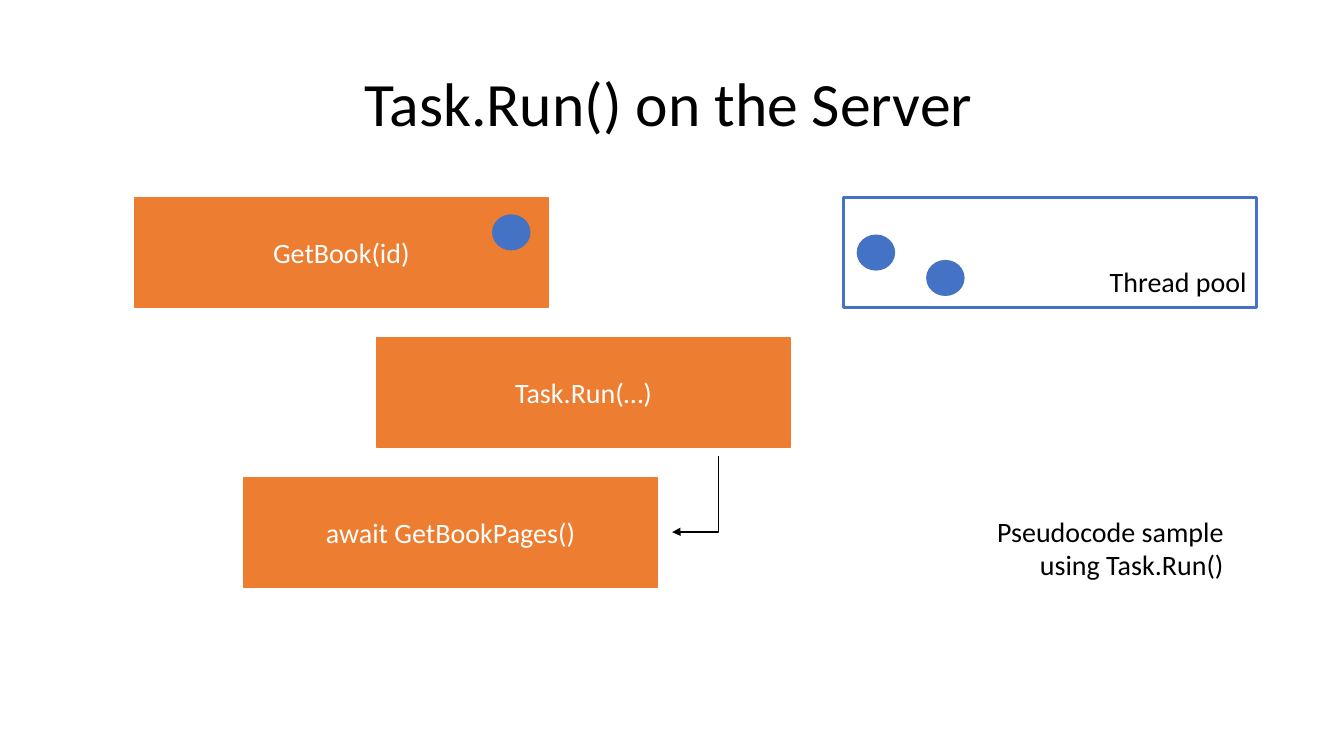
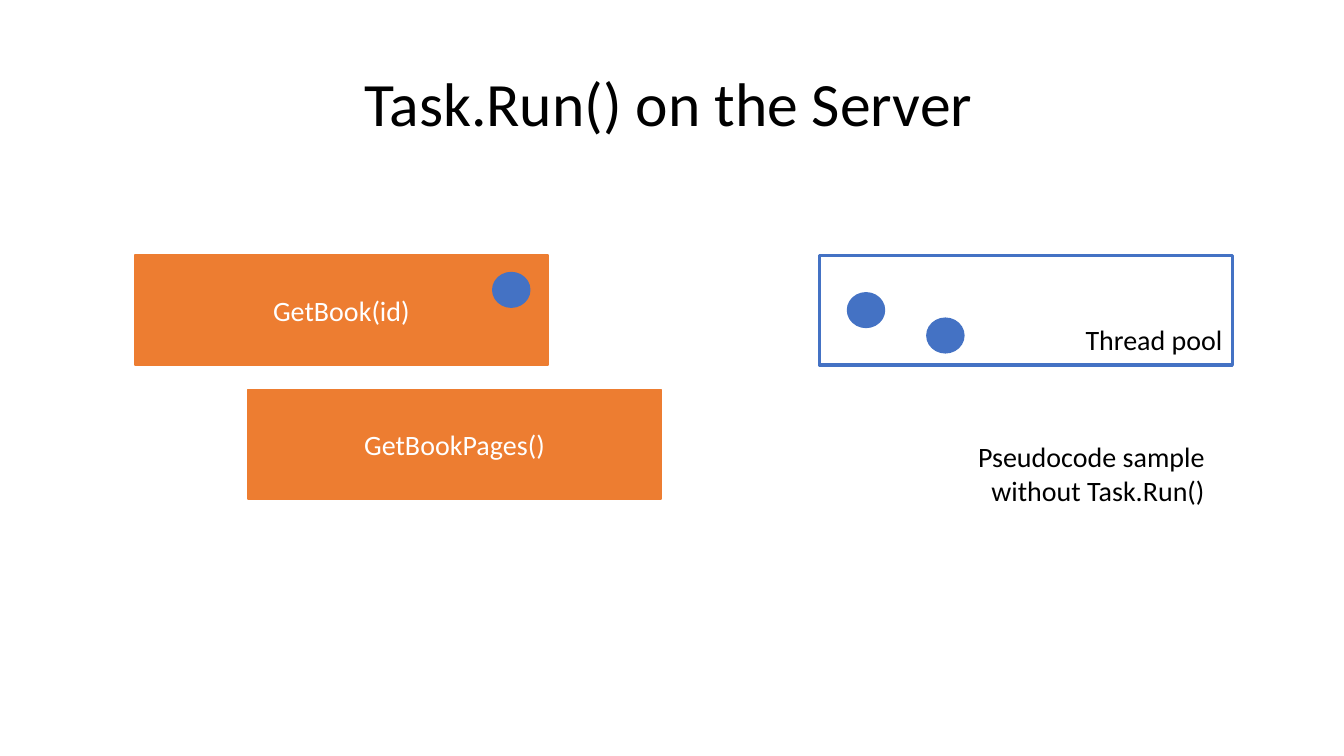
from dataclasses import dataclass

from lxml import etree
from pptx import Presentation
from pptx import util as u
from pptx.dml.color import RGBColor
from pptx.enum import shapes, text
from pptx.oxml.ns import qn

INK = {"call": "ED7D31", "thread": "4472C4", "text": "000000", "paper": "FFFFFF"}
FONT = "Calibri"
TITLE = "Task.Run() on the Server"
BOX = (10.41, 2.77)
DOT = (0.97, 0.91)
NOTE = (7.72, 1.96)
ALIGN = text.PP_ALIGN


@dataclass(frozen=True)
class Call:
    """A method call and its left edge in cm."""
    name: str
    left: float


@dataclass(frozen=True)
class Scene:
    """The parts that differ between slides, in cm."""
    top: float
    pitch: float
    calls: tuple[Call, ...]
    pool: float
    dots: tuple[float, float]
    note: tuple[str, str]
    spot: tuple[float, float]
    arrow: bool = False


SCENES = (
    Scene(4.98, 3.53,
          (Call("GetBook(id)", 3.4), Call("Task.Run(…)", 9.5),
           Call("await GetBookPages()", 6.15)),
          21.26, (21.59, 23.34),
          ("Pseudocode sample", "using Task.Run()"), (23.37, 12.83), arrow=True),
    Scene(6.43, 3.38,
          (Call("GetBook(id)", 3.4), Call("GetBookPages()", 6.25)),
          20.65, (21.34, 23.34),
          ("Pseudocode sample", "without Task.Run()"), (22.89, 10.95)),
)


def tint(key: str) -> RGBColor:
    """Look up a colour."""
    return RGBColor.from_string(INK[key])


def write(frame, lines: tuple[str, ...], key: str, align, size: int = 20):
    """Write lines in one paragraph, run by run, and return it."""
    para = frame.paragraphs[0]
    para.alignment = align
    for i, line in enumerate(lines):
        if i:
            para.add_line_break()
        run = para.add_run()
        run.text = line
        run.font.name = FONT
        run.font.size = u.Pt(size)
        run.font.color.rgb = tint(key)
    return para


def inset(frame, left: float, top: float, right: float, base: float) -> None:
    """Set the text margins in cm."""
    frame.margin_left, frame.margin_top = u.Cm(left), u.Cm(top)
    frame.margin_right, frame.margin_bottom = u.Cm(right), u.Cm(base)


def shape(slide, kind, left: float, top: float, size: tuple[float, float],
          fill: str, edge: str = "", width: float = 1):
    """Draw a flat shape, with an outline if an edge colour is given."""
    item = slide.shapes.add_shape(kind, u.Cm(left), u.Cm(top), *map(u.Cm, size))
    item.shadow.inherit = False
    item.fill.solid()
    item.fill.fore_color.rgb = tint(fill)
    if edge:
        item.line.color.rgb = tint(edge)
        item.line.width = u.Pt(width)
    else:
        item.line.fill.background()
    return item


def head(slide) -> None:
    """Place and style the title."""
    item = slide.shapes.title
    item.left, item.top = u.Cm(1.73), u.Cm(0.51)
    item.width, item.height = u.Cm(30.5), u.Cm(4.37)
    frame = item.text_frame
    frame.auto_size = text.MSO_AUTO_SIZE.NONE
    frame.vertical_anchor = text.MSO_ANCHOR.MIDDLE
    inset(frame, 0, 0.13, 0.25, 0.13)
    write(frame, (TITLE,), "text", ALIGN.CENTER, 44).line_spacing = 0.9


def block(slide, call: Call, top: float) -> None:
    """Draw a call as a filled box."""
    item = shape(slide, shapes.MSO_SHAPE.RECTANGLE, call.left, top, BOX,
                 "call", "call")
    frame = item.text_frame
    frame.vertical_anchor = text.MSO_ANCHOR.MIDDLE
    inset(frame, 0.5, 0.5, 0.5, 0.5)
    write(frame, (call.name,), "paper", ALIGN.CENTER).space_before = u.Pt(6)


def dot(slide, left: float, top: float) -> None:
    """Draw a thread."""
    shape(slide, shapes.MSO_SHAPE.OVAL, left, top, DOT, "thread")


def label(slide, lines: tuple[str, ...], left: float, top: float,
          size: tuple[float, float], wrap: bool) -> None:
    """Add right-aligned text."""
    item = slide.shapes.add_textbox(u.Cm(left), u.Cm(top), *map(u.Cm, size))
    frame = item.text_frame
    frame.word_wrap = wrap
    frame.auto_size = text.MSO_AUTO_SIZE.SHAPE_TO_FIT_TEXT
    write(frame, lines, "text", ALIGN.RIGHT)


def pool(slide, scene: Scene) -> None:
    """Draw the thread pool with its idle threads."""
    shape(slide, shapes.MSO_SHAPE.RECTANGLE, scene.pool, scene.top, BOX,
          "paper", "thread", 2.25)
    label(slide, ("Thread pool",), scene.pool + 5.56, scene.top + 1.57,
          (4.85, 1.12), True)
    for left, drop in zip(scene.dots, (0.93, 1.57)):
        dot(slide, left, scene.top + drop)


def elbow(slide) -> None:
    """Draw the arrow that goes down, then left."""
    line = slide.shapes.add_connector(
        shapes.MSO_CONNECTOR.ELBOW,
        u.Cm(16.56), u.Cm(11.86), u.Cm(18.49), u.Cm(13.03))
    line.line.color.rgb = tint("text")
    line.line.width = u.Pt(1)
    props = line._element.spPr
    props.find(qn("a:xfrm")).set("rot", "5400000")
    geom = props.find(qn("a:prstGeom"))
    bends = geom.find(qn("a:avLst"))
    if bends is None:
        bends = etree.SubElement(geom, qn("a:avLst"))
    etree.SubElement(bends, qn("a:gd"), name="adj1", fmla="val 99600")
    etree.SubElement(props.find(qn("a:ln")), qn("a:tailEnd"), type="triangle")
    etree.SubElement(props, qn("a:effectLst"))


def build(deck, scene: Scene) -> None:
    """Add one slide."""
    slide = deck.slides.add_slide(deck.slide_layouts[5])
    head(slide)
    pool(slide, scene)
    for i, call in enumerate(scene.calls):
        block(slide, call, scene.top + i * scene.pitch)
    dot(slide, 12.4, scene.top + 0.42)
    if scene.arrow:
        elbow(slide)
    label(slide, scene.note, *scene.spot, NOTE, False)


def main() -> None:
    """Build and save the deck."""
    deck = Presentation()
    deck.slide_width, deck.slide_height = u.Cm(33.87), u.Cm(19.05)
    for scene in SCENES:
        build(deck, scene)
    deck.save("out.pptx")


main()
